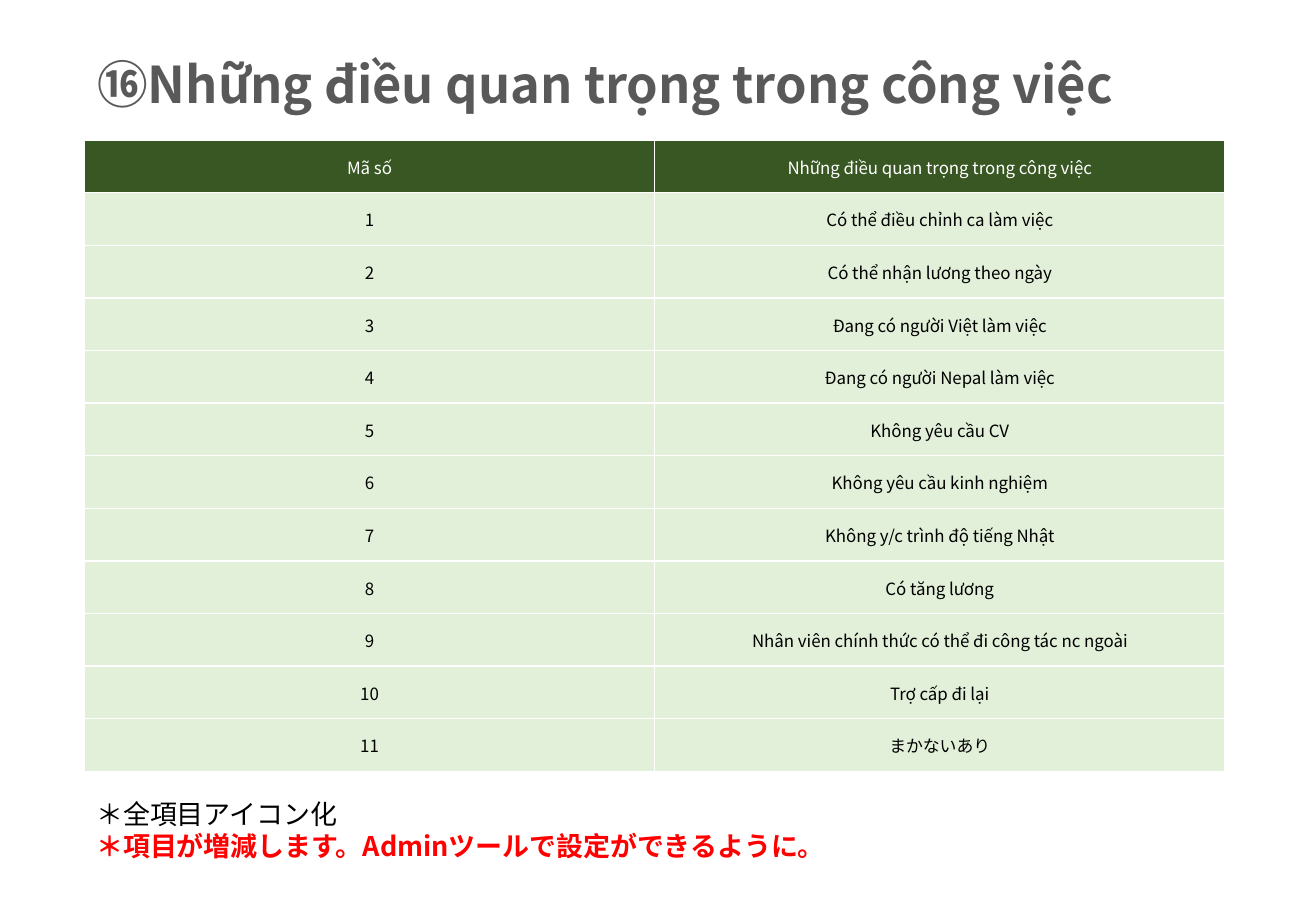
from dataclasses import dataclass

from lxml import etree
from pptx import Presentation
from pptx.dml.color import RGBColor
from pptx.enum.text import MSO_ANCHOR, MSO_AUTO_SIZE, PP_ALIGN
from pptx.oxml.ns import qn
from pptx.util import Pt

LEFT, CENTER = PP_ALIGN.LEFT, PP_ALIGN.CENTER
TOP, MIDDLE = MSO_ANCHOR.TOP, MSO_ANCHOR.MIDDLE
FIXED = MSO_AUTO_SIZE.NONE


@dataclass(frozen=True)
class Theme:
    face: str = "Noto Sans CJK JP"
    grey: str = "595959"
    black: str = "000000"
    white: str = "FFFFFF"
    red: str = "FF0000"
    dark: str = "385723"
    pale: str = "E2F0D9"
    head: int = 30
    note: int = 16
    cell: int = 10
    rule: int = 1


def apply(target, values):
    for name, value in values.items():
        setattr(target, name, value)


class Deck:
    def __init__(self, theme, width, height):
        self.theme = theme
        self.file = Presentation()
        apply(self.file, {"slide_width": Pt(width), "slide_height": Pt(height)})
        self.slide = self.file.slides.add_slide(self.file.slide_layouts[5])

    def label(self, para, text, size, color, bold=False, align=LEFT, pitch=None):
        apply(para, {"alignment": align, "line_spacing": pitch and Pt(pitch)})
        run = para.add_run()
        run.text = text
        apply(run.font, {"name": self.theme.face, "size": Pt(size), "bold": bold})
        run.font.color.rgb = RGBColor.from_string(color)
        east = etree.SubElement(run.font._element, qn("a:ea"))
        east.set("typeface", self.theme.face)

    def title(self, text, *box):
        shape = self.slide.shapes.title
        apply(shape, dict(zip(("left", "top", "width", "height"), map(Pt, box))))
        frame = shape.text_frame
        apply(frame, {"word_wrap": True, "auto_size": FIXED, "vertical_anchor": TOP})
        size = self.theme.head
        self.label(frame.paragraphs[0], text, size, self.theme.grey, True, pitch=size * 1.2)

    def notes(self, lines, *box):
        frame = self.slide.shapes.add_textbox(*map(Pt, box)).text_frame
        apply(frame, {"word_wrap": True, "auto_size": FIXED, "vertical_anchor": TOP})
        for index, (text, color, bold) in enumerate(lines):
            para = frame.add_paragraph() if index else frame.paragraphs[0]
            self.label(para, text, self.theme.note, color, bold, pitch=19)

    def border(self, cell):
        props = cell._tc.get_or_add_tcPr()
        for side in ("lnL", "lnR", "lnT", "lnB"):
            line = etree.SubElement(props, qn(f"a:{side}"), w=str(Pt(self.theme.rule)))
            fill = etree.SubElement(line, qn("a:solidFill"))
            etree.SubElement(fill, qn("a:srgbClr"), val=self.theme.white)

    def table(self, rows, *box):
        look = self.theme
        grid = self.slide.shapes.add_table(len(rows), len(rows[0]), *map(Pt, box)).table
        for row in grid.rows:
            row.height = Pt(box[3] / len(rows))
        edge = Pt(0.72)
        form = {"vertical_anchor": MIDDLE, "margin_left": edge, "margin_right": edge,
                "margin_top": edge, "margin_bottom": 0}
        for y, row in enumerate(rows):
            fill, color = (look.pale, look.black) if y else (look.dark, look.white)
            for x, text in enumerate(row):
                cell = grid.cell(y, x)
                apply(cell, form)
                self.border(cell)
                cell.fill.solid()
                cell.fill.fore_color.rgb = RGBColor.from_string(fill)
                para = cell.text_frame.paragraphs[0]
                self.label(para, text, look.cell, color, align=CENTER)


def main():
    theme = Theme()
    deck = Deck(theme, 780, 540)
    topic = "Những điều quan trọng trong công việc"
    items = (
        "Có thể điều chỉnh ca làm việc",
        "Có thể nhận lương theo ngày",
        "Đang có người Việt làm việc",
        "Đang có người Nepal làm việc",
        "Không yêu cầu CV",
        "Không yêu cầu kinh nghiệm",
        "Không y/c trình độ tiếng Nhật",
        "Có tăng lương",
        "Nhân viên chính thức có thể đi công tác nc ngoài",
        "Trợ cấp đi lại",
        "まかないあり",
    )
    rows = [("Mã số", topic)]
    rows += [(str(code), item) for code, item in enumerate(items, 1)]
    deck.title("⑯" + topic, 50.4, 28, 676, 44)
    deck.table(rows, 50, 83, 676, 374.4)
    deck.notes((
        ("＊全項目アイコン化", theme.black, False),
        ("＊項目が増減します。Adminツールで設定ができるように。", theme.red, True),
    ), 50, 469.5, 676, 46)
    deck.file.save("out.pptx")


if __name__ == "__main__":
    main()
